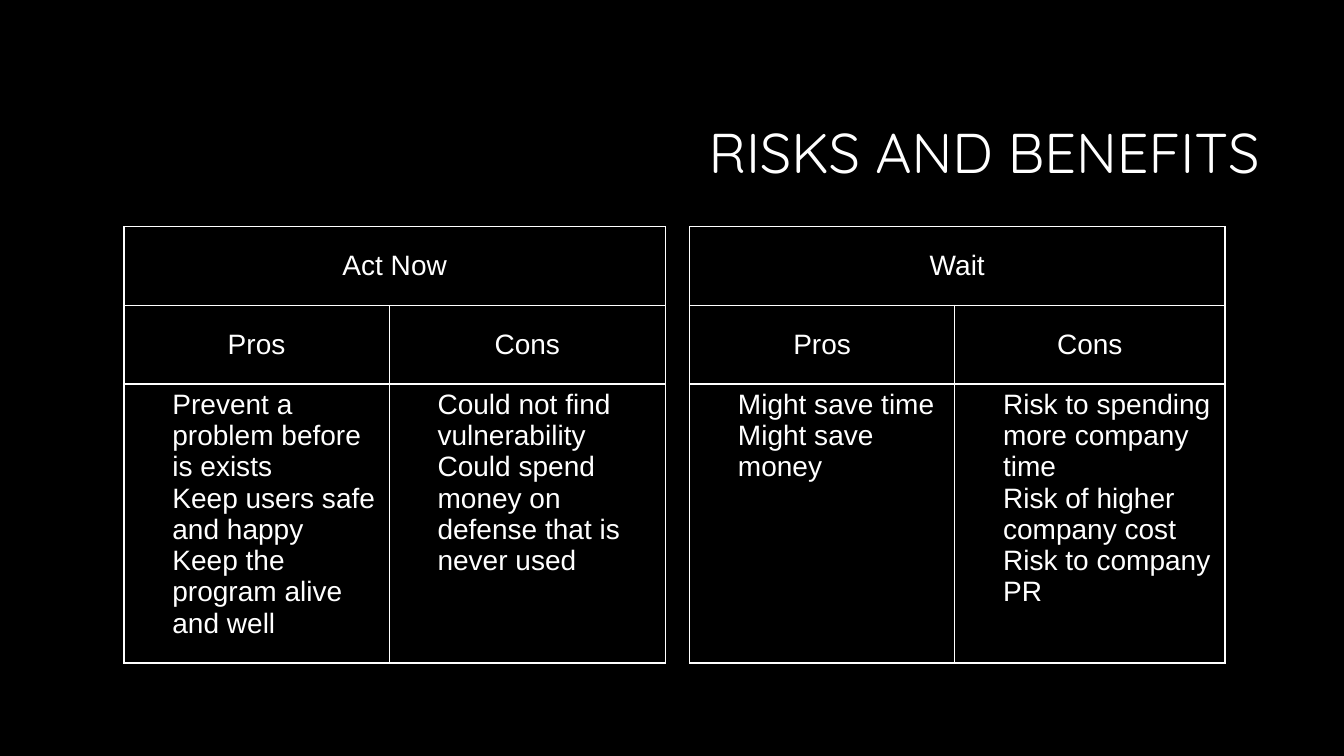
from lxml import etree
from pptx import Presentation
from pptx import util as u
from pptx.dml.color import RGBColor
from pptx.enum import text
from pptx.oxml import ns

HUES = {"back": "000000", "ink": "FFFFFF"}
HEADS = {0: "Act Now", 3: "Wait"}
LISTS = {
    0: ("Pros", ["Prevent a problem before is exists",
                 "Keep users safe and happy",
                 "Keep the program alive and well"]),
    1: ("Cons", ["Could not find vulnerability",
                 "Could spend money on defense that is never used"]),
    3: ("Pros", ["Might save time", "Might save money"]),
    4: ("Cons", ["Risk to spending more company time",
                 "Risk of higher  company cost",
                 "Risk to company PR"]),
}
WIDTHS = [2.63, 2.74, 0.23, 2.63, 2.68]
ROWS = [0.78, 0.78, 2.58]
GAP = 2


def add_run(para, words, size, face):
    run = para.add_run()
    run.text = words
    run.font.size = u.Pt(size)
    run.font.name = face
    run.font.color.rgb = RGBColor.from_string(HUES["ink"])


def add_node(parent, tag, **attrs):
    return etree.SubElement(parent, ns.qn(tag), attrs)


deck = Presentation()
deck.slide_width, deck.slide_height = u.Inches(13.33), u.Inches(7.5)
slide = deck.slides.add_slide(deck.slide_layouts[6])
slide.background.fill.solid()
slide.background.fill.fore_color.rgb = RGBColor.from_string(HUES["back"])

title = slide.shapes.add_textbox(
    u.Inches(3.17), u.Inches(0.84), u.Inches(9.42), u.Inches(1.41))
frame = title.text_frame
frame.word_wrap = True
frame.vertical_anchor = text.MSO_ANCHOR.MIDDLE
para = frame.paragraphs[0]
para.alignment = text.PP_ALIGN.RIGHT
para.line_spacing = 0.9
add_run(para, "RISKS AND BENEFITS", 40, "Quicksand")

grid = slide.shapes.add_table(
    len(ROWS), len(WIDTHS), u.Inches(1.23), u.Inches(2.25),
    u.Inches(sum(WIDTHS)), u.Inches(sum(ROWS))).table
grid.first_row = grid.horz_banding = False
for col, width in zip(grid.columns, WIDTHS):
    col.width = u.Inches(width)
for row, height in zip(grid.rows, ROWS):
    row.height = u.Inches(height)

for r in range(len(ROWS)):
    for c in range(len(WIDTHS)):
        cell = grid.cell(r, c)
        props = cell._tc.get_or_add_tcPr()
        for side in "LRTB":
            line = add_node(props, f"a:ln{side}", w=str(u.Pt(1)))
            if c == GAP and side in "TB":
                add_node(line, "a:noFill")
            else:
                fill = add_node(line, "a:solidFill")
                add_node(fill, "a:srgbClr", val=HUES["ink"])
        cell.fill.background()

grid.cell(0, GAP).merge(grid.cell(2, GAP))
for c, head in HEADS.items():
    grid.cell(0, c).merge(grid.cell(0, c + 1))

labels = [(0, c, head) for c, head in HEADS.items()]
labels += [(1, c, head) for c, (head, items) in LISTS.items()]
for r, c, head in labels:
    cell = grid.cell(r, c)
    cell.vertical_anchor = text.MSO_ANCHOR.MIDDLE
    para = cell.text_frame.paragraphs[0]
    para.alignment = text.PP_ALIGN.CENTER
    add_run(para, head, 20, "Arial")

for c, (head, items) in LISTS.items():
    frame = grid.cell(2, c).text_frame
    for i, item in enumerate(items):
        para = frame.add_paragraph() if i else frame.paragraphs[0]
        props = para._p.get_or_add_pPr()
        props.set("marL", str(u.Inches(0.38)))
        props.set("indent", str(-u.Inches(0.38)))
        tint = add_node(props, "a:buClr")
        add_node(tint, "a:srgbClr", val=HUES["back"])
        add_node(props, "a:buFont", typeface="Arial")
        add_node(props, "a:buChar", char="•")
        add_run(para, item, 20, "Arial")

deck.save("out.pptx")
